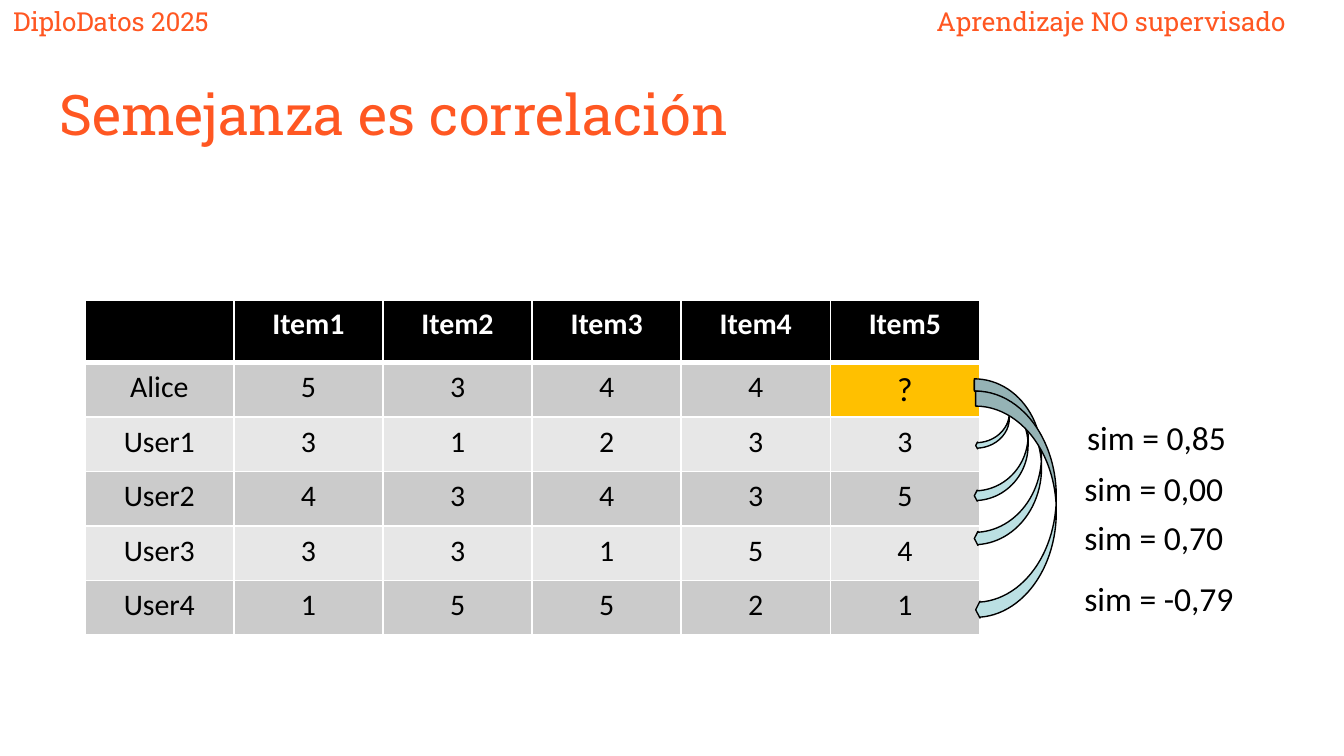
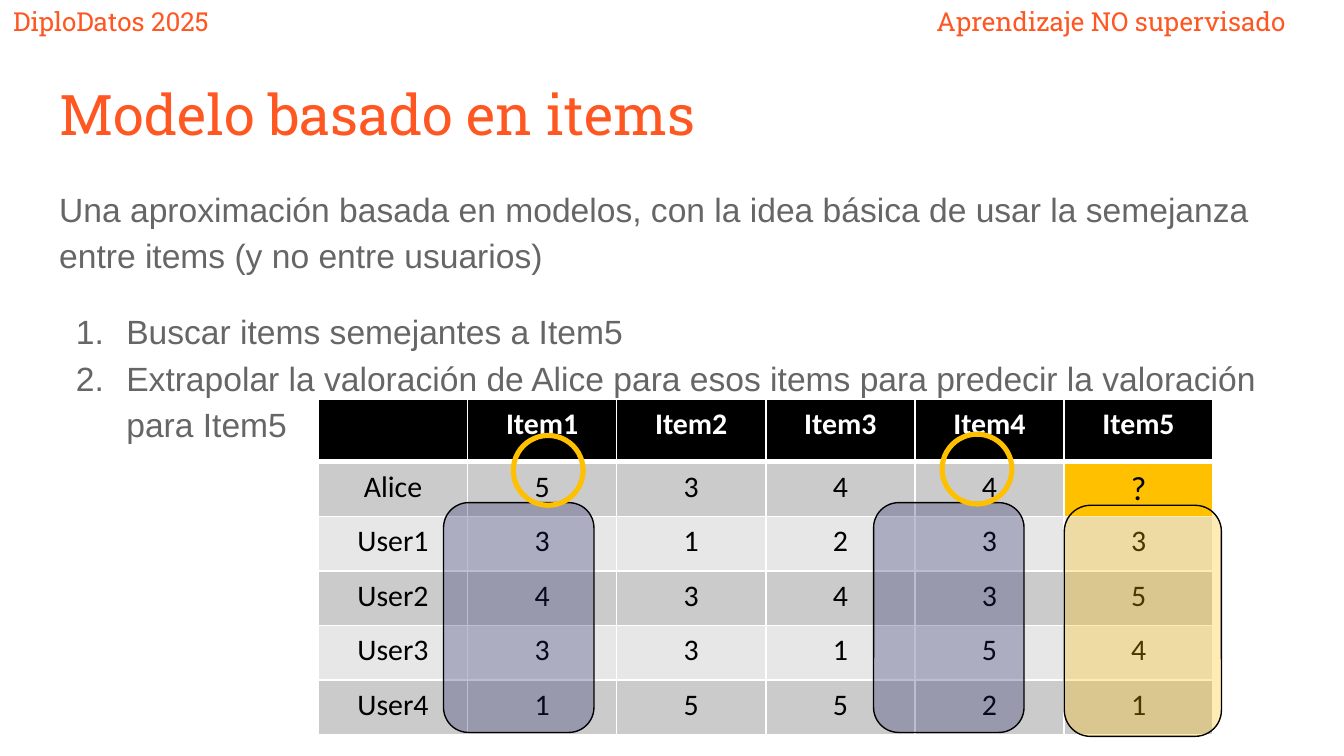
from lxml.etree import SubElement
from pptx import Presentation
from pptx.dml.color import RGBColor
from pptx.enum.shapes import MSO_SHAPE as Preset
from pptx.enum.text import MSO_ANCHOR as Anchor, MSO_AUTO_SIZE as AutoSize, PP_ALIGN as Align
from pptx.oxml.ns import qn
from pptx.util import Pt

COLORS = {
    "accent": "FF5722", "body": "666666", "black": "000000", "white": "FFFFFF",
    "dark_row": "CBCBCB", "light_row": "E7E7E7", "amber": "FFC000",
    "arrow": "BBE0E3", "navy": "222268",
}
SLAB, SANS, TABLE_FONT = "Roboto Slab", "Arial", "Calibri"

BANNERS = [
    ("DiploDatos 2025", (0, -4.3, 147, 24.5)),
    ("Aprendizaje NO supervisado", (494.6, -4.3, 228, 24.5)),
]
TITLE_AREA = (24.5, 35.3, 671, 45.4)
BODY_AREA = (24.5, 90.7, 671, 269.3)

RATINGS = [
    ["", "Item1", "Item2", "Item3", "Item4", "Item5"],
    ["Alice", "5", "3", "4", "4", "?"],
    ["User1", "3", "1", "2", "3", "3"],
    ["User2", "4", "3", "4", "3", "5"],
    ["User3", "3", "3", "1", "5", "4"],
    ["User4", "1", "5", "5", "2", "1"],
]
COLUMN_WIDTH, HEADER_HEIGHT, ROW_HEIGHT = 79.9, 33.7, 29.2

SIMILARITIES = [
    ("sim = 0,85", (575.3, 219.6, 106.6, 27.4), (522.7, 205.2, 18, 35.3), (0.162, 0.202, 0.054)),
    ("sim = 0,00", (573.8, 247, 114.5, 27.4), (522, 203.8, 28.8, 64.8), (0.18, 0.207, 0.054)),
    ("sim = 0,70", (573.8, 273.6, 114.5, 27.4), (522, 203, 36, 89.3), (0.183, 0.208, 0.054)),
    ("sim = -0,79", (573.8, 306, 121, 27.4), (522.7, 209.5, 43.2, 121.7), (0.187, 0.209, 0.054)),
]

INTRO = ("Una aproximación basada en modelos, con la idea básica de usar "
         "la semejanza entre items (y no entre usuarios)")
STEPS = [
    "Buscar items semejantes a Item5",
    "Extrapolar la valoración de Alice para esos items para predecir la valoración para Item5",
]
COLUMN_FRAMES = [
    ("amber", (570.2, 270.7, 84.2, 123.8)),
    ("navy", (237.6, 269.3, 80.6, 123.1)),
    ("navy", (468, 269.3, 80.6, 123.1)),
]
RATING_RINGS = [(275, 233.3, 37.4, 37.4), (504.7, 232.6, 37.4, 37.4)]


def rgb(name):
    return RGBColor.from_string(COLORS[name])


def points(area):
    return [Pt(value) for value in area]


def style_text(para, size, font, color, bold=False):
    for span in para.runs:
        span.font.size = Pt(size)
        span.font.name = font
        span.font.bold = bold
        span.font.color.rgb = rgb(color)


def set_frame(frame, horizontal=7.2, vertical=7.2):
    frame.word_wrap = True
    frame.auto_size = AutoSize.NONE
    frame.vertical_anchor = Anchor.TOP
    frame.margin_left = frame.margin_right = Pt(horizontal)
    frame.margin_top = frame.margin_bottom = Pt(vertical)


def add_label(shapes, text, area, size, font, color, vertical=7.2):
    box = shapes.add_textbox(*points(area))
    set_frame(box.text_frame, vertical=vertical)
    box.text_frame.text = text
    style_text(box.text_frame.paragraphs[0], size, font, color)
    return box


def place(placeholder, area):
    placeholder.left, placeholder.top, placeholder.width, placeholder.height = points(area)
    set_frame(placeholder.text_frame)


def add_page(deck, layout, title):
    page = deck.slides.add_slide(deck.slide_layouts.get_by_name(layout))
    heading = page.shapes.title
    place(heading, TITLE_AREA)
    heading.text_frame.text = title
    para = heading.text_frame.paragraphs[0]
    para.alignment = Align.LEFT
    style_text(para, 30, SLAB, "accent")
    return page


def add_figure(shapes, preset, area, fill=None, line="black", width=0.75, opacity=None):
    figure = shapes.add_shape(preset, *points(area))
    figure.shadow.inherit = False
    figure.line.color.rgb = rgb(line)
    figure.line.width = Pt(width)
    if fill is None:
        figure.fill.background()
        return figure
    figure.fill.solid()
    figure.fill.fore_color.rgb = rgb(fill)
    if opacity is not None:
        color = figure.element.spPr.find(qn("a:solidFill"))[0]
        SubElement(color, qn("a:alpha"), val=str(opacity * 1000))
    return figure


def set_borders(cell, row):
    properties = cell._tc.get_or_add_tcPr()
    widths = {"L": 0.96, "R": 0.96, "T": 3 if row == 1 else 0.96, "B": 3 if row == 0 else 0.96}
    for index, (side, width) in enumerate(widths.items()):
        border = properties.makeelement(qn(f"a:ln{side}"), {"w": str(Pt(width))})
        SubElement(SubElement(border, qn("a:solidFill")), qn("a:srgbClr"), val=COLORS["white"])
        properties.insert(index, border)


def cell_fill(row, text):
    if row == 0:
        return "black"
    if text == "?":
        return "amber"
    return "dark_row" if row % 2 else "light_row"


def add_ratings(page, left, top):
    rows, columns = len(RATINGS), len(RATINGS[0])
    height = HEADER_HEIGHT + ROW_HEIGHT * (rows - 1)
    area = (left, top, COLUMN_WIDTH * columns, height)
    table = page.shapes.add_table(rows, columns, *points(area)).table
    for column in table.columns:
        column.width = Pt(COLUMN_WIDTH)
    for row, values in enumerate(RATINGS):
        table.rows[row].height = Pt(ROW_HEIGHT if row else HEADER_HEIGHT)
        for column, text in enumerate(values):
            cell = table.cell(row, column)
            cell.text = text
            cell.fill.solid()
            cell.fill.fore_color.rgb = rgb(cell_fill(row, text))
            set_borders(cell, row)
            para = cell.text_frame.paragraphs[0]
            para.alignment = Align.CENTER
            style_text(para, 18 if text == "?" else 16, TABLE_FONT,
                       "black" if row else "white", bold=row == 0)


def add_body(page):
    body = page.placeholders[1]
    place(body, BODY_AREA)
    body.text_frame.text = "\n".join([INTRO, *STEPS])
    for index, para in enumerate(body.text_frame.paragraphs):
        para.line_spacing = 1.15
        para.space_before = Pt(16 if index == 1 else 0)
        style_text(para, 18, SANS, "body")
        properties = para._p.get_or_add_pPr()
        properties.set("marL", str(Pt(36 if index else 0)))
        properties.set("indent", str(Pt(-27 if index else 0)))
        if index:
            bullet_color = SubElement(properties, qn("a:buClr"))
            SubElement(bullet_color, qn("a:srgbClr"), val=COLORS["body"])
            SubElement(properties, qn("a:buFont"), typeface=SANS)
            SubElement(properties, qn("a:buAutoNum"), type="arabicPeriod")
        else:
            SubElement(properties, qn("a:buNone"))


def add_banners(deck, page):
    for text, area in BANNERS:
        box = add_label(page.shapes, text, area, 14, SLAB, "accent")
        deck.slide_master.shapes.element.append(box.element)


def build_correlation(deck):
    page = add_page(deck, "Title Only", "Semejanza es correlación")
    add_banners(deck, page)
    add_ratings(page, 45.4, 160.6)
    for text, label_area, arrow_area, bends in SIMILARITIES:
        group = page.shapes.add_group_shape()
        add_label(group.shapes, text, label_area, 18, TABLE_FONT, "black", vertical=3.6)
        arrow = add_figure(group.shapes, Preset.CURVED_LEFT_ARROW, arrow_area, "arrow")
        for index, bend in enumerate(bends):
            arrow.adjustments[index] = bend


def build_item_model(deck):
    page = add_page(deck, "Title and Content", "Modelo basado en items")
    add_body(page)
    add_ratings(page, 170.6, 213.8)
    for color, area in COLUMN_FRAMES:
        add_figure(page.shapes, Preset.ROUNDED_RECTANGLE, area, color, opacity=29)
    for area in RATING_RINGS:
        add_figure(page.shapes, Preset.OVAL, area, line="amber", width=2.75)


def main():
    deck = Presentation()
    deck.slide_width, deck.slide_height = Pt(720), Pt(405)
    build_correlation(deck)
    build_item_model(deck)
    deck.save("out.pptx")


if __name__ == "__main__":
    main()
